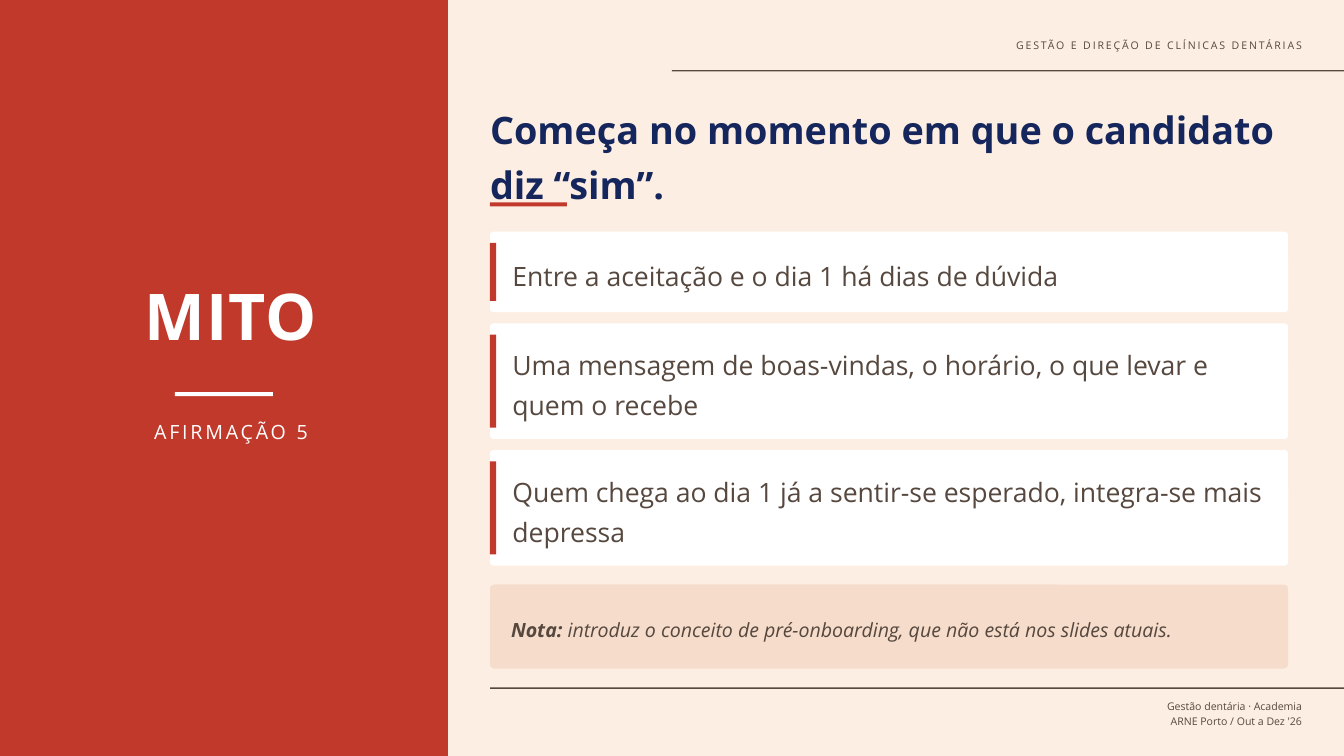
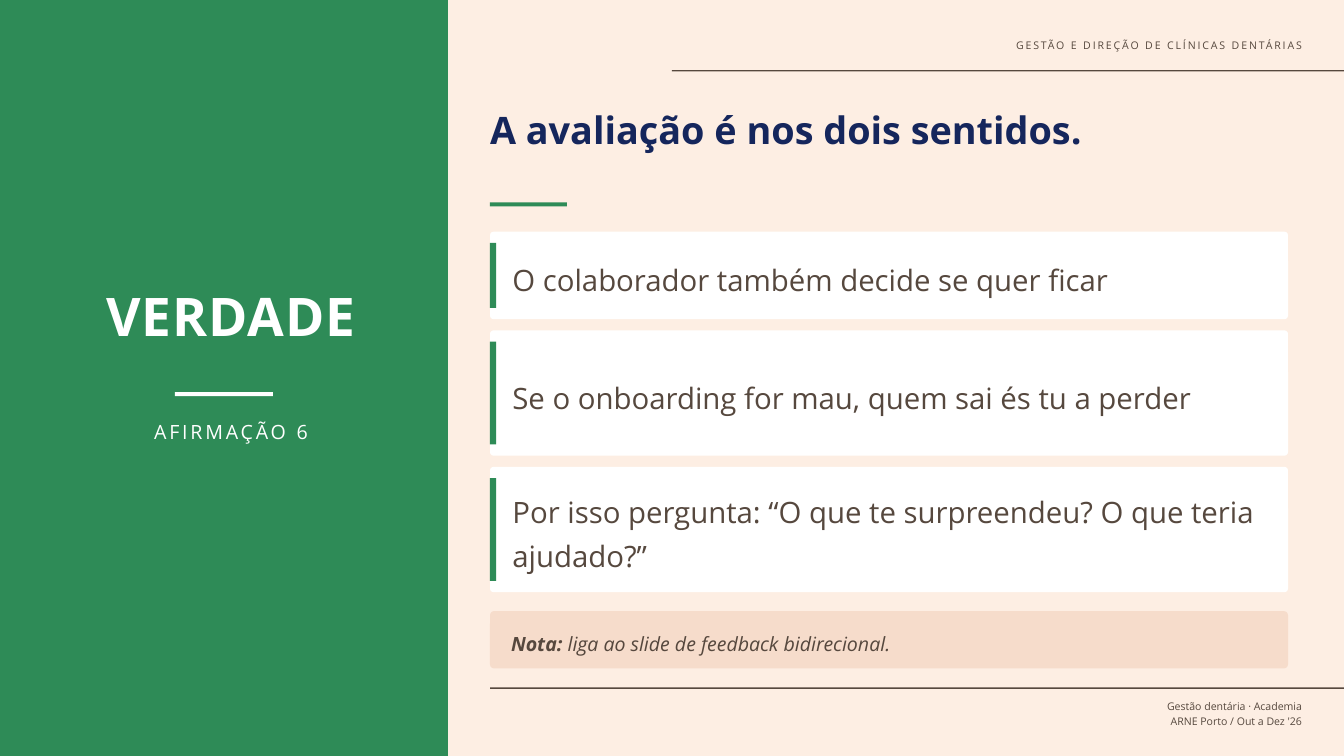
from pptx import Presentation
from pptx.dml.color import RGBColor
from pptx.enum.shapes import MSO_SHAPE
from pptx.enum.text import MSO_ANCHOR, MSO_AUTO_SIZE, PP_ALIGN
from pptx.util import Pt

RECTANGLE, ROUNDED = MSO_SHAPE.RECTANGLE, MSO_SHAPE.ROUNDED_RECTANGLE
TOP, MIDDLE = MSO_ANCHOR.TOP, MSO_ANCHOR.MIDDLE
LEFT, CENTER, RIGHT = PP_ALIGN.LEFT, PP_ALIGN.CENTER, PP_ALIGN.RIGHT
GROW = MSO_AUTO_SIZE.SHAPE_TO_FIT_TEXT

EMU_PER_PX = 9525
PAGE_WIDTH, PAGE_HEIGHT = 1920, 1080
FONT = "Open Sans"
CREAM, PEACH, WHITE = "FDEEE3", "F6DCCB", "FFFFFF"
BROWN, NAVY, RED, GREEN = "56483E", "15265C", "C0392B", "2E8B57"

TITLE_ONLY = 5
CONTENT_LEFT, CONTENT_WIDTH = 700, 1140
CARDS_TOP, CARD_GAP = 331, 16
CARD_INSET, CARD_RADIUS = 32, 5
NOTE_INSET, NOTE_RADIUS, NOTE_BOTTOM = 30, 6, 955

HEADER = "GESTÃO E DIREÇÃO DE CLÍNICAS DENTÁRIAS"
FOOTER = ["Gestão dentária · Academia", "ARNE Porto / Out a Dez '26"]

SLIDES = [
    {
        "verdict": "MITO",
        "verdict_size": 69,
        "label": "AFIRMAÇÃO 5",
        "accent": RED,
        "title": "Começa no momento em que o candidato diz “sim”.",
        "card_size": 28.5,
        "cards": [
            ("Entre a aceitação e o dia 1 há dias de dúvida", 115),
            ("Uma mensagem de boas-vindas, o horário, o que levar e quem o recebe", 165),
            ("Quem chega ao dia 1 já a sentir-se esperado, integra-se mais depressa", 165),
        ],
        "note": "introduz o conceito de pré-onboarding, que não está nos slides atuais.",
        "note_height": 120,
    },
    {
        "verdict": "VERDADE",
        "verdict_size": 57,
        "label": "AFIRMAÇÃO 6",
        "accent": GREEN,
        "title": "A avaliação é nos dois sentidos.",
        "card_size": 31.5,
        "cards": [
            ("O colaborador também decide se quer ficar", 125),
            ("Se o onboarding for mau, quem sai és tu a perder", 179),
            ("Por isso pergunta: “O que te surpreendeu? O que teria ajudado?”", 179),
        ],
        "note": "liga ao slide de feedback bidirecional.",
        "note_height": 82,
    },
]


def px(*lengths):
    return [length * EMU_PER_PX for length in lengths]


def color(value):
    return RGBColor.from_string(value)


def set_attributes(target, values):
    for name, value in values.items():
        setattr(target, name, value)


def add_block(page, bounds, fill, radius=0):
    block = page.shapes.add_shape(ROUNDED if radius else RECTANGLE, *px(*bounds))
    block.shadow.inherit = False
    block.fill.solid()
    block.fill.fore_color.rgb = color(fill)
    block.line.fill.background()
    if radius:
        block.adjustments[0] = radius / min(bounds[2:])


def add_span(para, text, size, fill, tracking=0, **styles):
    span = para.add_run()
    span.text = text
    set_attributes(span.font, {"name": FONT, "size": Pt(size), **styles})
    span.font.color.rgb = color(fill)
    if tracking:
        span._r.get_or_add_rPr().set("spc", str(tracking * 100))


def format_frame(frame, anchor):
    set_attributes(frame, {
        "margin_left": 0, "margin_top": 0, "margin_right": 0, "margin_bottom": 0,
        "word_wrap": True, "auto_size": GROW, "vertical_anchor": anchor,
    })


def add_frame(page, bounds, anchor=TOP):
    frame = page.shapes.add_textbox(*px(*bounds)).text_frame
    format_frame(frame, anchor)
    return frame


def format_para(para, align=LEFT, spacing=None, after=0):
    set_attributes(para, {
        "alignment": align, "line_spacing": spacing, "space_after": Pt(after),
    })
    return para


def add_header_and_footer(page):
    header = add_frame(page, (940, 50, 920, 30))
    add_span(format_para(header.paragraphs[0], RIGHT, 1.3, 4.5), HEADER, 11.25, BROWN, 2)
    for left, top in ((960, 100), (CONTENT_LEFT, 982)):
        add_block(page, (left, top, PAGE_WIDTH - left, 2), BROWN)
    footer = add_frame(page, (1000, 996, 860, 50))
    for index, line in enumerate(FOOTER):
        para = footer.add_paragraph() if index else footer.paragraphs[0]
        add_span(format_para(para, RIGHT, 1.2), line, 11.25, BROWN)


def add_verdict(page, content):
    verdict = add_frame(page, (60, 360, 540, 180), MIDDLE)
    add_span(format_para(verdict.paragraphs[0], CENTER), content["verdict"],
             content["verdict_size"], WHITE, 1, bold=True)
    add_block(page, (250, 560, 140, 6), WHITE)
    label = add_frame(page, (60, 590, 540, 60))
    add_span(format_para(label.paragraphs[0], CENTER, 1.3, 4.5), content["label"], 21, WHITE, 3)


def add_title(page, text, accent):
    title = page.shapes.title
    bounds = px(CONTENT_LEFT, 140, CONTENT_WIDTH, 135)
    set_attributes(title, dict(zip(("left", "top", "width", "height"), bounds)))
    format_frame(title.text_frame, TOP)
    para = format_para(title.text_frame.paragraphs[0], LEFT, 1.2)
    add_span(para, text, 40.5, NAVY, bold=True)
    add_block(page, (CONTENT_LEFT, 289, 110, 6), accent)


def add_card(page, top, height, text, size, accent):
    add_block(page, (CONTENT_LEFT, top, CONTENT_WIDTH, height), WHITE, CARD_RADIUS)
    add_block(page, (CONTENT_LEFT, top + CARD_GAP, 9, height - 2 * CARD_GAP), accent)
    bounds = (CONTENT_LEFT + CARD_INSET, top, CONTENT_WIDTH - 2 * CARD_INSET, height)
    para = add_frame(page, bounds, MIDDLE).paragraphs[0]
    add_span(format_para(para, LEFT, 1.25, 4.5), text, size, BROWN)


def add_note(page, text, height):
    top = NOTE_BOTTOM - height
    add_block(page, (CONTENT_LEFT, top, CONTENT_WIDTH, height), PEACH, NOTE_RADIUS)
    bounds = (CONTENT_LEFT + NOTE_INSET, top, CONTENT_WIDTH - 2 * NOTE_INSET, height)
    para = format_para(add_frame(page, bounds, MIDDLE).paragraphs[0], LEFT, 1.3)
    add_span(para, "Nota: ", 21, BROWN, bold=True, italic=True)
    add_span(para, text, 21, BROWN, italic=True)


def add_page(deck, content):
    page = deck.slides.add_slide(deck.slide_layouts[TITLE_ONLY])
    accent = content["accent"]
    add_block(page, (0, 0, 640, PAGE_HEIGHT), accent)
    add_header_and_footer(page)
    add_verdict(page, content)
    add_title(page, content["title"], accent)
    top = CARDS_TOP
    for text, height in content["cards"]:
        add_card(page, top, height, text, content["card_size"], accent)
        top += height + CARD_GAP
    add_note(page, content["note"], content["note_height"])


def main():
    deck = Presentation()
    deck.slide_width, deck.slide_height = px(PAGE_WIDTH, PAGE_HEIGHT)
    background = deck.slide_master.background.fill
    background.solid()
    background.fore_color.rgb = color(CREAM)
    for content in SLIDES:
        add_page(deck, content)
    deck.save("out.pptx")


if __name__ == "__main__":
    main()
